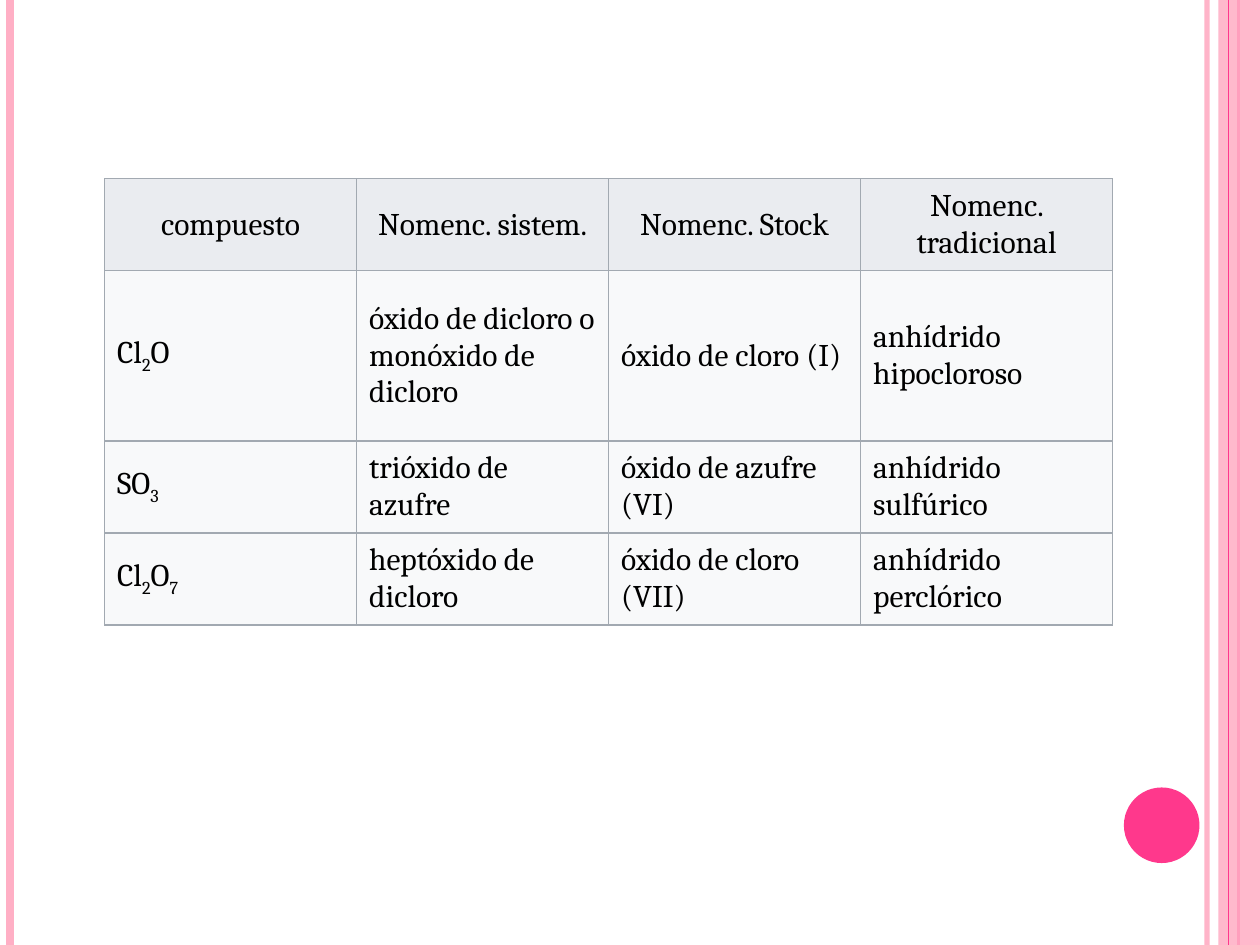
from itertools import groupby

from lxml import etree
from pptx import Presentation
from pptx import util as u
from pptx.dml.color import RGBColor
from pptx.enum import shapes, text
from pptx.oxml import ns

COLORS = {
    "pale_pink": "FFAFC5",
    "pink": "FF388C",
    "border": "A2A9B1",
    "header": "EAECF0",
    "body": "F8F9FA",
    "text": "000000",
}


def write(para, content, size=18, font="Cambria", color="text", align=None, formula=False):
    """Fill a paragraph; in a formula the digits become subscripts."""
    para.alignment = align
    parts = groupby(content, str.isdigit) if formula else [(False, content)]
    for lowered, letters in parts:
        span = para.add_run()
        span.text = "".join(letters)
        span.font.size = u.Pt(size)
        span.font.name = font
        span.font.color.rgb = RGBColor.from_string(COLORS[color])
        if lowered:
            span.font._element.set("baseline", "-25000")


def set_alpha(element, percent):
    color = element.find(".//" + ns.qn("a:srgbClr"))
    etree.SubElement(color, ns.qn("a:alpha"), val=str(percent * 1000))


deck = Presentation()
deck.slide_width, deck.slide_height = u.Inches(10), u.Inches(7.5)
page = deck.slides.add_slide(deck.slide_layouts[6])

# Side stripes: x, colour, width in points, opacity; the band lies under the last line
stripes = [
    (9.58, "pale_pink", 3, 93),
    (0.08, "pale_pink", 4.5, 100),
    (9.83, "pink", 1.5, 100),
    (9.75, "pink", 0.75, 100),
]
for x, color, width, opacity in stripes:
    if x == 9.75:
        band = page.shapes.add_shape(
            shapes.MSO_SHAPE.RECTANGLE, u.Inches(9.67), 0, u.Inches(0.33), deck.slide_height)
        band.shadow.inherit = False
        band.fill.solid()
        band.fill.fore_color.rgb = RGBColor.from_string(COLORS["pale_pink"])
        band.line.fill.background()
        set_alpha(band._element.spPr, 87)
    stripe = page.shapes.add_connector(
        shapes.MSO_CONNECTOR.STRAIGHT, u.Inches(x), 0, u.Inches(x), deck.slide_height)
    stripe.line.color.rgb = RGBColor.from_string(COLORS[color])
    stripe.line.width = u.Pt(width)
    etree.SubElement(stripe._element.spPr, ns.qn("a:effectLst"))
    if opacity < 100:
        set_alpha(stripe._element.spPr, opacity)

# Corner dot
dot = page.shapes.add_shape(
    shapes.MSO_SHAPE.OVAL, u.Inches(8.92), u.Inches(6.25), u.Inches(0.6), u.Inches(0.6))
dot.shadow.inherit = False
dot.fill.solid()
dot.fill.fore_color.rgb = RGBColor.from_string(COLORS["pink"])
dot.line.fill.background()

# Nomenclature table
rows = [
    ("compuesto", "Nomenc. sistem.", "Nomenc. Stock", "Nomenc. tradicional"),
    ("Cl2O", "óxido de dicloro o monóxido de dicloro", "óxido de cloro (I)",
     "anhídrido hipocloroso"),
    ("SO3", "trióxido de azufre", "óxido de azufre (VI)", "anhídrido sulfúrico"),
    ("Cl2O7", "heptóxido de dicloro", "óxido de cloro (VII)", "anhídrido perclórico"),
]
heights = [0.73, 1.35, 0.73, 0.73]
table = page.shapes.add_table(
    len(rows), len(rows[0]), u.Inches(0.83), u.Inches(1.42),
    u.Inches(8), u.Inches(sum(heights))).table

for row, (values, height) in enumerate(zip(rows, heights)):
    table.rows[row].height = u.Inches(height)
    for column, value in enumerate(values):
        cell = table.cell(row, column)
        cell.vertical_anchor = text.MSO_ANCHOR.MIDDLE
        write(cell.text_frame.paragraphs[0], value,
              align=text.PP_ALIGN.CENTER if row == 0 else text.PP_ALIGN.LEFT,
              formula=row > 0 and column == 0)

        # Borders come before the fill in the cell properties
        properties = cell._tc.get_or_add_tcPr()
        for side in ("lnL", "lnR", "lnT", "lnB"):
            border = etree.SubElement(properties, ns.qn("a:" + side), w=str(u.Pt(0.75)))
            paint = etree.SubElement(border, ns.qn("a:solidFill"))
            etree.SubElement(paint, ns.qn("a:srgbClr"), val=COLORS["border"])
        cell.fill.solid()
        cell.fill.fore_color.rgb = RGBColor.from_string(COLORS["header" if row == 0 else "body"])

deck.save("out.pptx")
